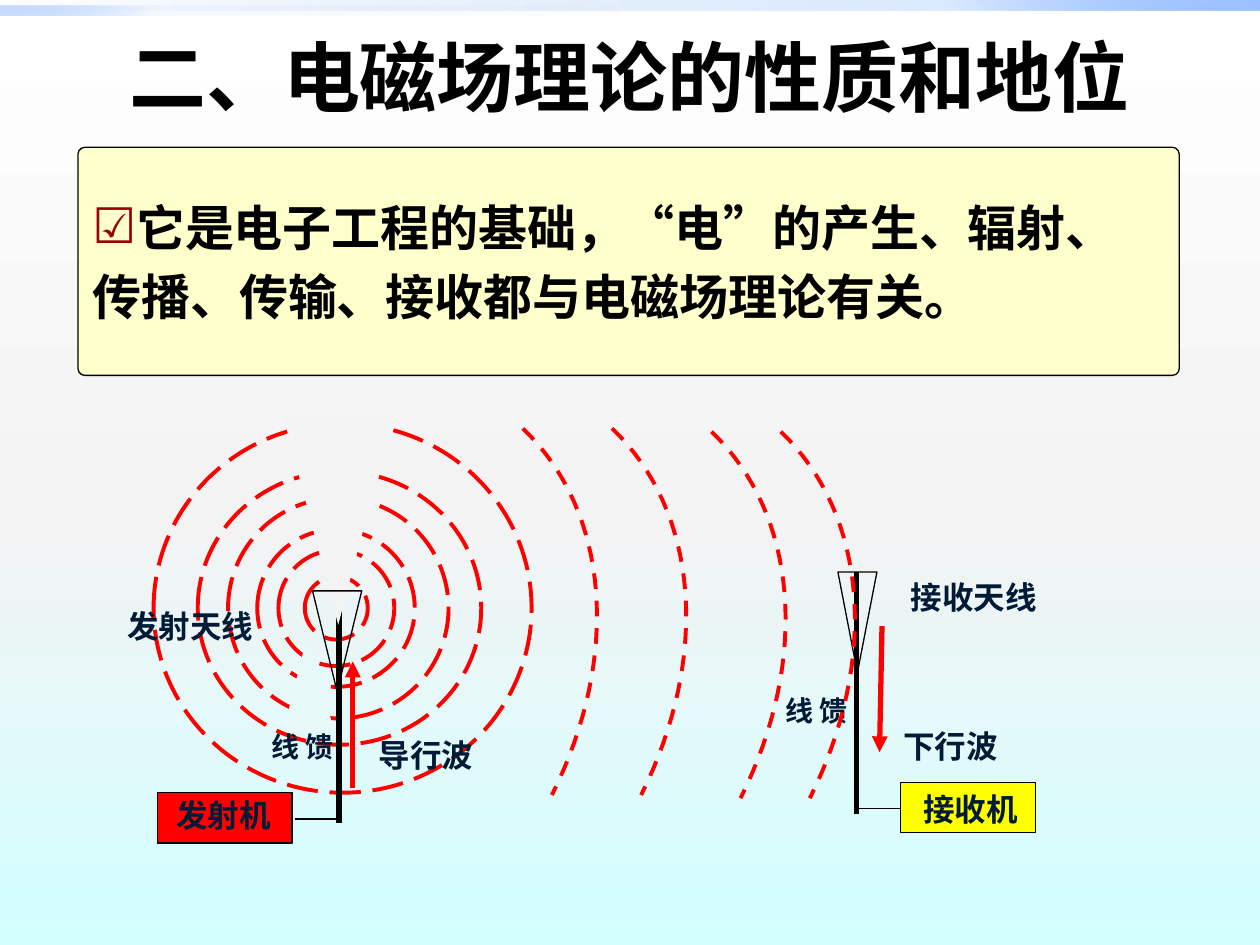
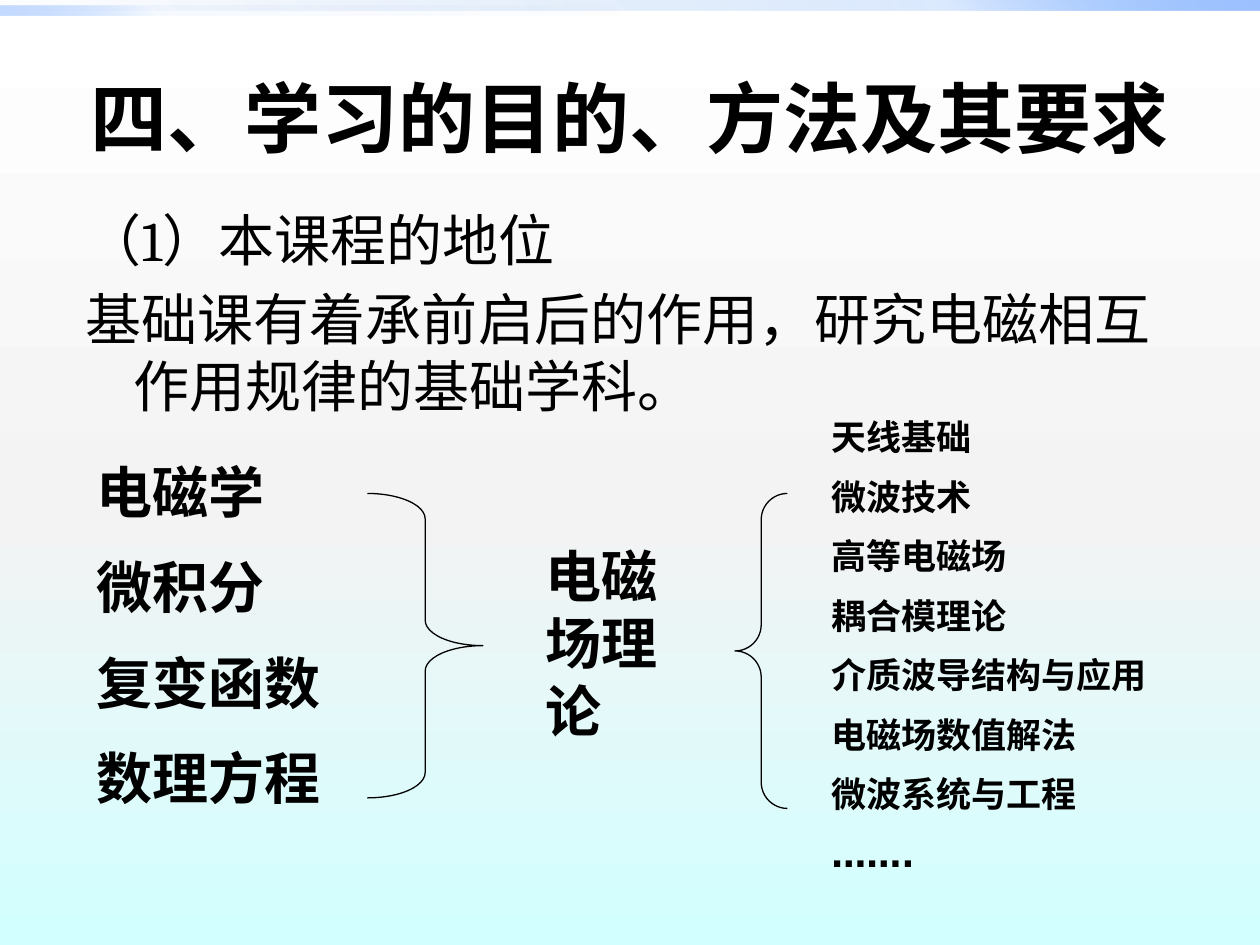
from collections import namedtuple

from lxml import etree
from pptx import Presentation
from pptx import util as u
from pptx.dml.color import RGBColor
from pptx.enum import dml, shapes, text
from pptx.oxml import ns

Box = namedtuple("Box", "left top width height")
Shape = shapes.MSO_SHAPE
Dash = dml.MSO_LINE


class Theme:
    ink, label, red, yellow = "000000", "001B36", "FF0000", "FFFF00"
    panel, bullet = "FFFFCC", "990000"
    # Gradient stops: position in percent, colour, opacity in percent
    background = [(0, "FFFFFF", 100), (55, "F3F3F3", 100), (100, "D2FFFF", 100)]
    bands = [
        (Box(0, 0, 720, 6), 315, [(0, "0058B7", 0), (75, "4F95FF", 20), (100, "9EC2FF", 100)]),
        (Box(0, 3, 360, 6), 135, [(0, "0058B7", 0), (75, "4F95FF", 5), (100, "9EC2FF", 60)]),
    ]
    behind_feeder, sky_sector = "E7F8F8", "F3F3F3"
    title = {"name": "Arial", "size": u.Pt(44), "bold": True}
    body = {"name": "Cambria", "size": u.Pt(32), "bold": False}
    statement = {"name": "DejaVu Sans", "size": u.Pt(28), "bold": True}
    course = {"name": "DejaVu Sans", "size": u.Pt(32), "bold": True}
    topic = {"name": "DejaVu Sans", "size": u.Pt(20), "bold": True}
    component = {"name": "Times New Roman", "size": u.Pt(18), "bold": True}
    feeder = {"name": "Times New Roman", "size": u.Pt(16), "bold": True}


def set_attributes(target, values):
    for name, value in values.items():
        setattr(target, name, value)


def in_points(values):
    return [u.Pt(value) for value in values]


def within(box, inner):
    """Move a position or area given relative to a box onto the slide."""
    return Box(box.left + inner[0], box.top + inner[1], *inner[2:])


def gradient_fill(parent, stops, angle):
    """Replace the solid fill of an element by a linear gradient."""
    solid = parent.find(ns.qn("a:solidFill"))
    gradient = etree.Element(ns.qn("a:gradFill"), rotWithShape="1")
    stop_list = etree.SubElement(gradient, ns.qn("a:gsLst"))
    for position, colour, opacity in stops:
        stop = etree.SubElement(stop_list, ns.qn("a:gs"), pos=str(position * 1000))
        rgb = etree.SubElement(stop, ns.qn("a:srgbClr"), val=colour)
        if opacity < 100:
            etree.SubElement(rgb, ns.qn("a:alpha"), val=str(opacity * 1000))
    etree.SubElement(gradient, ns.qn("a:lin"), ang=str(angle * 60000), scaled="0")
    parent.replace(solid, gradient)


def style_line(line, colour, width, dash=None):
    line.color.rgb = RGBColor.from_string(colour)
    line.width = u.Pt(width)
    if dash:
        line.dash_style = dash


def style_shape(shape, fill=None, line=None, width=0.75, dash=None):
    shape.shadow.inherit = False
    if fill:
        shape.fill.solid()
        shape.fill.fore_color.rgb = RGBColor.from_string(fill)
    else:
        shape.fill.background()
    if line:
        style_line(shape.line, line, width, dash)
    else:
        shape.line.fill.background()


def add_shape(slide, kind, box, adjustment=None, flipped=False, **style):
    shape = slide.shapes.add_shape(kind, *in_points(box))
    style_shape(shape, **style)
    if adjustment is not None:
        shape.adjustments[0] = adjustment
    if flipped:
        shape._element.spPr.find(ns.qn("a:xfrm")).set("flipV", "1")
    return shape


def add_line(slide, box, ends, colour=Theme.ink, width=0.75, arrow=False):
    left, top = box.left, box.top
    offsets = (left, top, left, top)
    connector = slide.shapes.add_connector(
        shapes.MSO_CONNECTOR.STRAIGHT, *in_points(map(sum, zip(offsets, ends))))
    style_line(connector.line, colour, width)
    if arrow:
        etree.SubElement(connector.line._get_or_add_ln(), ns.qn("a:tailEnd"), type="triangle")
    etree.SubElement(connector._element.spPr, ns.qn("a:effectLst"))


def write(frame, lines, font, colour=Theme.ink, gap=0, after=0,
          align=text.PP_ALIGN.LEFT, hanging=0, bullet=None):
    """Fill a frame with paragraphs; a bullet marks the first one."""
    frame.word_wrap = True
    for index, line in enumerate(lines):
        paragraph = frame.paragraphs[0] if index == 0 else frame.add_paragraph()
        set_attributes(paragraph, {
            "alignment": align,
            "space_before": u.Pt(gap if index else 0),
            "space_after": u.Pt(after),
        })
        properties = paragraph._p.get_or_add_pPr()
        if hanging:
            properties.set("marL", str(u.Pt(hanging)))
            properties.set("indent", str(-u.Pt(hanging)))
        if bullet and index == 0:
            bullet_colour = etree.SubElement(properties, ns.qn("a:buClr"))
            etree.SubElement(bullet_colour, ns.qn("a:srgbClr"), val=Theme.bullet)
            etree.SubElement(properties, ns.qn("a:buFont"), typeface="DejaVu Sans")
            etree.SubElement(properties, ns.qn("a:buChar"), char=bullet)
        run = paragraph.add_run()
        run.text = line
        set_attributes(run.font, font)
        run.font.color.rgb = RGBColor.from_string(colour)


def add_text(slide, box, lines, font, vertical=False, grow=True, **options):
    frame = slide.shapes.add_textbox(*in_points(box)).text_frame
    write(frame, lines, font, **options)
    if vertical:
        frame._txBody.bodyPr.set("vert", "eaVert")
    if grow:
        frame.auto_size = text.MSO_AUTO_SIZE.SHAPE_TO_FIT_TEXT
    return frame


def add_background(presentation):
    master = presentation.slide_master
    master.background.fill.solid()
    master.background.fill.fore_color.rgb = RGBColor.from_string("FFFFFF")
    properties = master._element.find(".//" + ns.qn("p:bgPr"))
    gradient_fill(properties, Theme.background, 90)


def add_slide(presentation, title, title_box):
    slide = presentation.slides.add_slide(presentation.slide_layouts[6])
    for box, angle, stops in Theme.bands:
        band = add_shape(slide, Shape.RECTANGLE, box, fill=Theme.ink)
        gradient_fill(band._element.spPr, stops, angle)
    frame = add_text(slide, title_box, [title], Theme.title, grow=False,
                     align=text.PP_ALIGN.CENTER)
    frame.vertical_anchor = text.MSO_ANCHOR.MIDDLE
    return slide


def add_statement(slide, box):
    panel = add_shape(slide, Shape.ROUNDED_RECTANGLE, box, 0.03,
                      fill=Theme.panel, line=Theme.ink)
    panel.text_frame.vertical_anchor = text.MSO_ANCHOR.MIDDLE
    lines = ["它是电子工程的基础，“电”的产生、辐射、",
             "传播、传输、接收都与电磁场理论有关。"]
    write(panel.text_frame, lines, Theme.statement, gap=2.8, after=2.8, bullet="☑")


def add_near_waves(slide, box):
    middle = 109.5
    rings = [(127.2, 36, 36), (127.2, 66.2, 66.2), (127, 90, 90),
             (128.3, 126, 126), (129, 162, 156.2), (130.8, 216, 211)]
    for centre, width, height in rings:
        ring = within(box, (centre - width / 2, middle - height / 2, width, height))
        add_shape(slide, Shape.OVAL, ring, line=Theme.red, width=2.25, dash=Dash.LONG_DASH)


def add_far_waves(slide, box):
    """Draw the wave fronts, each sampled from one cubic curve."""
    controls = [(0, 0), (49.7, 47.5), (56.2, 130.3), (16.6, 209.5)]
    steps = 32
    curve = []
    for step in range(steps + 1):
        t = step / steps
        weights = [(1 - t) ** 3, 3 * t * (1 - t) ** 2, 3 * t * t * (1 - t), t ** 3]
        curve.append([sum(w * point[axis] for w, point in zip(weights, controls))
                      for axis in (0, 1)])
    for left, top in [(0, 0), (51, 0), (107.8, 1.8), (147.4, 1.8)]:
        points = [in_points((box.left + left + x, box.top + top + y)) for x, y in curve]
        builder = slide.shapes.build_freeform(*points[0])
        builder.add_line_segments(points[1:], close=False)
        style_shape(builder.convert_to_shape(), line=Theme.red, width=2.25, dash=Dash.DASH)


def add_station(slide, box, machine, colour, wire, feeder, antenna, arrow,
                labels, feeder_label, gap=None, sector=None):
    """Draw one station; gap and sector are the areas kept free of waves."""
    if gap:
        add_shape(slide, Shape.ISOSCELES_TRIANGLE, within(box, gap), fill=Theme.behind_feeder)
    add_shape(slide, Shape.RECTANGLE, within(box, machine + (77, 28.8)),
              fill=colour, line=Theme.ink)
    add_line(slide, box, wire)
    add_line(slide, box, feeder, width=3)
    for words, left, top in labels:
        label_box = within(box, (left, top, 24 * len(words), 28.8))
        add_text(slide, label_box, [words], Theme.component, colour=Theme.label)
    add_text(slide, within(box, feeder_label + (33.8, 41.8)), ["馈线"], Theme.feeder,
             vertical=True, colour=Theme.label)
    add_line(slide, box, arrow, Theme.red, 3, arrow=True)
    if sector:
        add_shape(slide, Shape.ISOSCELES_TRIANGLE, within(box, sector),
                  flipped=True, fill=Theme.sky_sector)
    add_shape(slide, Shape.ISOSCELES_TRIANGLE, within(box, antenna),
              flipped=True, line=Theme.ink)


def add_radio_link(slide, box):
    add_near_waves(slide, box)
    add_station(
        slide, within(box, (390, 88, 137, 150)), machine=(59.8, 121.1), colour=Theme.yellow,
        wire=(59.8, 136.2, 36, 136.2), feeder=(34.6, 139.1, 34.6, 0.9),
        antenna=(23.8, 0.9, 22.3, 57.6), arrow=(49, 31.8, 47.6, 103.8),
        labels=[("接收机", 65.6, 121.8), ("接收天线", 58.4, 0.9), ("下行波", 54, 85.8)],
        feeder_label=(0, 65))
    add_station(
        slide, box, machine=(25, 215), colour=Theme.red,
        wire=(103.5, 230, 127.2, 230), feeder=(128.7, 232.2, 128.7, 94.6),
        antenna=(113.6, 99.7, 28.1, 57.6), arrow=(136.6, 212, 136.6, 140),
        labels=[("发射机", 28.6, 213.4), ("发射天线", 0.5, 105.4), ("导行波", 144.5, 178.9)],
        feeder_label=(96.3, 173.8), gap=(97, 122, 28.8, 57.6), sector=(97, 0.3, 62.6, 118.8))
    add_far_waves(slide, within(box, (233.8, 6.8, 204, 212)))


def add_course_map(slide, box):
    """Show the courses before and after this one, joined by braces."""
    before = ["电磁学", "微积分", "复变函数", "数理方程"]
    after = ["天线基础", "微波技术", "高等电磁场", "耦合模理论", "介质波导结构与应用",
             "电磁场数值解法", "微波系统与工程", "……."]
    add_text(slide, within(box, (0, 24, 192, 218)), before, Theme.course, gap=16)
    add_shape(slide, Shape.RIGHT_BRACE, within(box, (162, 48, 66, 174)), 0.22, line=Theme.ink)
    add_text(slide, within(box, (256.5, 72, 84, 124)), ["电磁场理论"], Theme.course)
    add_shape(slide, Shape.LEFT_BRACE, within(box, (372, 48, 30, 180)), 0.5, line=Theme.ink)
    add_text(slide, within(box, (420, 0, 216, 283)), after, Theme.topic, gap=10)


def main():
    presentation = Presentation()
    set_attributes(presentation, {"slide_width": u.Pt(720), "slide_height": u.Pt(540)})
    add_background(presentation)

    status = add_slide(presentation, "二、电磁场理论的性质和地位", Box(36, 0, 648, 87))
    add_statement(status, Box(44.6, 84.2, 629.3, 130.3))
    add_radio_link(status, Box(65, 238, 530, 244))

    purpose = add_slide(presentation, "四、学习的目的、方法及其要求", Box(36, 21.6, 648, 90))
    add_text(purpose, Box(42, 114, 648, 150),
             ["（1）本课程的地位", "基础课有着承前启后的作用，研究电磁相互作用规律的基础学科。"],
             Theme.body, gap=6.4, hanging=27, grow=False)
    add_course_map(purpose, Box(48, 234, 636, 283))

    presentation.save("out.pptx")


if __name__ == "__main__":
    main()
